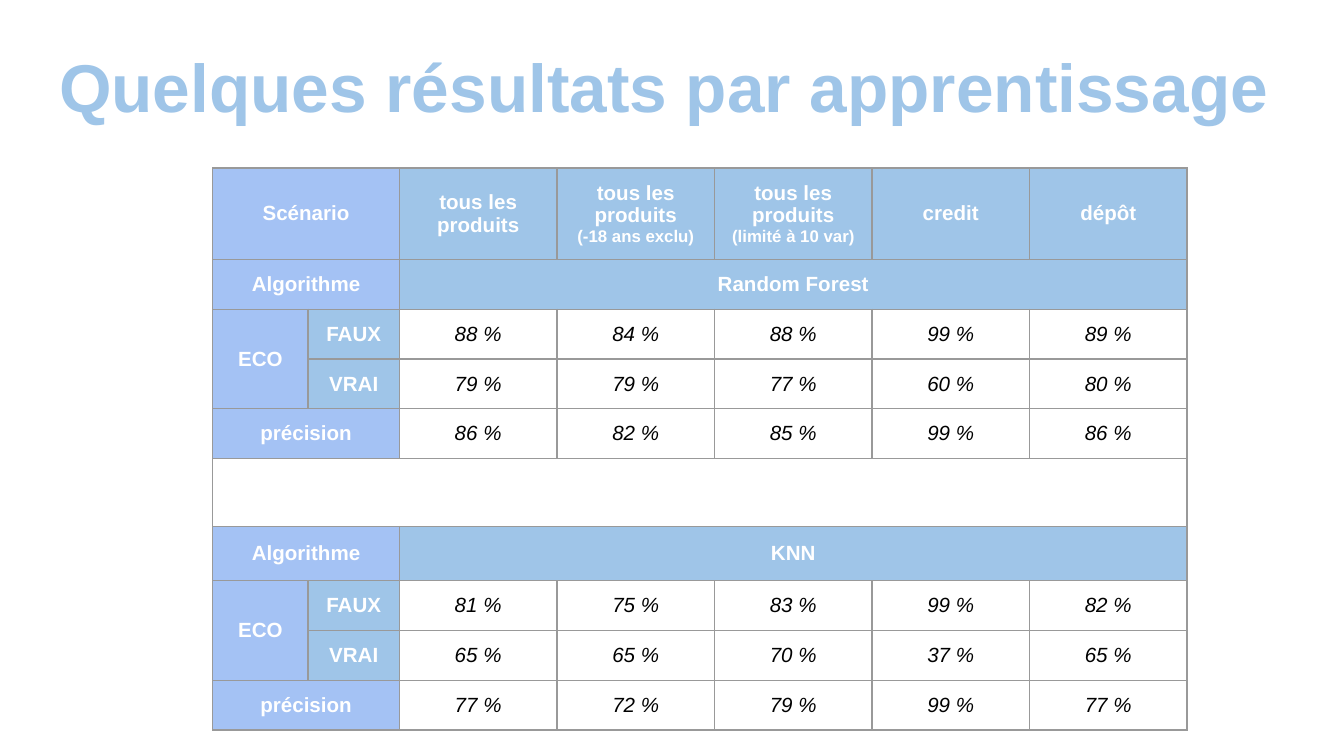
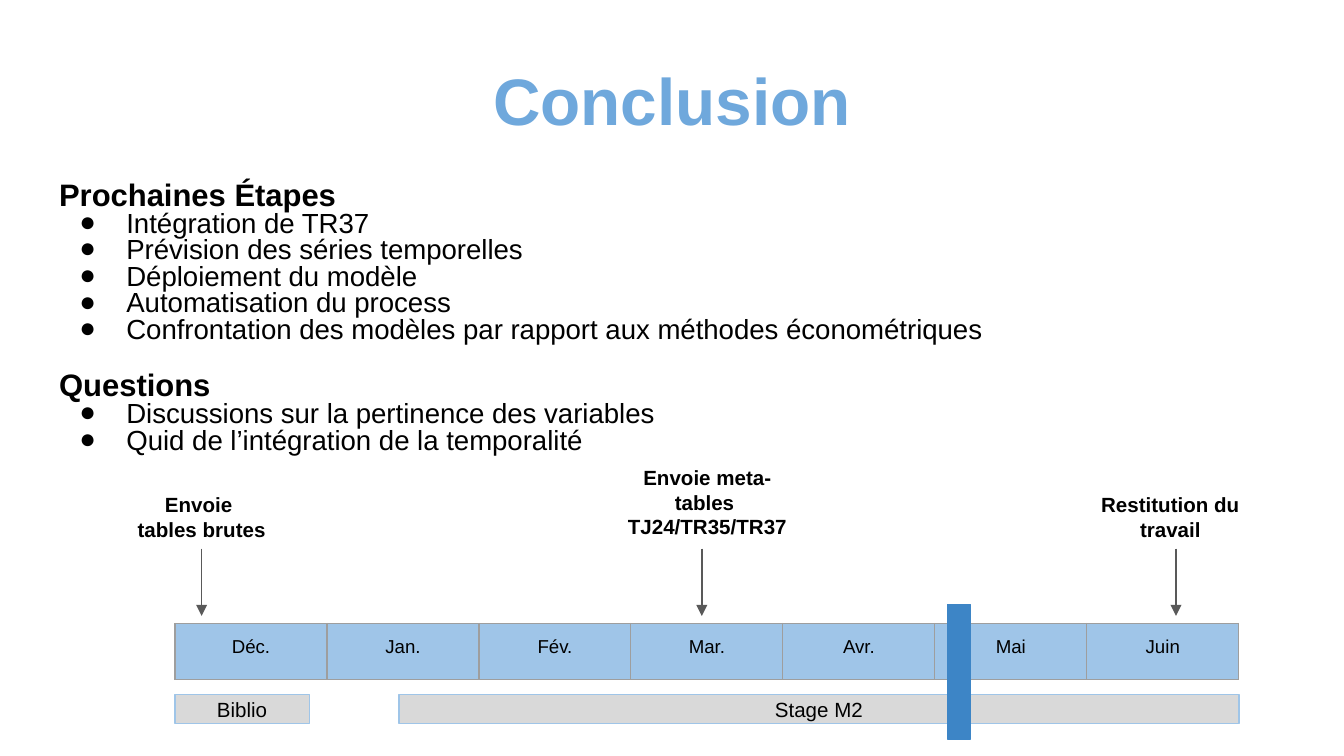
from lxml import etree
from pptx import Presentation
from pptx.dml.color import RGBColor
from pptx.enum.shapes import MSO_CONNECTOR, MSO_SHAPE
from pptx.enum.text import MSO_ANCHOR, MSO_AUTO_SIZE, PP_ALIGN
from pptx.oxml.ns import qn
from pptx.util import Pt

LEFT, CENTER = PP_ALIGN.LEFT, PP_ALIGN.CENTER
TOP, MIDDLE = MSO_ANCHOR.TOP, MSO_ANCHOR.MIDDLE
NO_AUTOFIT, FIT_SHAPE = MSO_AUTO_SIZE.NONE, MSO_AUTO_SIZE.SHAPE_TO_FIT_TEXT
RECTANGLE, STRAIGHT = MSO_SHAPE.RECTANGLE, MSO_CONNECTOR.STRAIGHT

WHITE = RGBColor(0xFF, 0xFF, 0xFF)
BLACK = RGBColor(0x00, 0x00, 0x00)
LIGHT_BLUE = RGBColor(0x9F, 0xC5, 0xE8)
LAVENDER = RGBColor(0xA4, 0xC2, 0xF4)
MID_BLUE = RGBColor(0x6F, 0xA8, 0xDC)
DEEP_BLUE = RGBColor(0x3D, 0x85, 0xC6)
PALE_GREY = RGBColor(0xD9, 0xD9, 0xD9)
ARROW_GREY = RGBColor(0x59, 0x59, 0x59)
BORDER_GREY = RGBColor(0x99, 0x99, 0x99)
TIMELINE_GREY = RGBColor(0x9E, 0x9E, 0x9E)

FONT = "Arial"
INSET = Pt(7.2)
THIN = Pt(0.75)
MARGIN, CONTENT_WIDTH = 24.5, 671
TITLE_AND_CONTENT, TITLE_ONLY = 1, 5

# Results: one column per scenario
SCENARIOS = [
    ["tous les produits"],
    ["tous les produits", "(-18 ans exclu)"],
    ["tous les produits", "(limité à 10 var)"],
    ["credit"],
    ["dépôt"],
]
FOREST_SCORES = [(88, 84, 88, 99, 89), (79, 79, 77, 60, 80), (86, 82, 85, 99, 86)]
KNN_SCORES = [(81, 75, 83, 99, 82), (65, 65, 70, 37, 65), (77, 72, 79, 99, 77)]
RESULT_COLUMNS = [51, 49] + [84.4] * 5
RESULT_ROWS = [42, 24, 26, 16, 20, 12, 29, 17, 18, 19]

# Conclusion: headings with their points
SECTIONS = [
    ("Prochaines Étapes", [
        "Intégration de TR37",
        "Prévision des séries temporelles",
        "Déploiement du modèle",
        "Automatisation du process",
        "Confrontation des modèles par rapport aux méthodes économétriques",
    ]),
    ("Questions", [
        "Discussions sur la pertinence des variables",
        "Quid de l’intégration de la temporalité",
    ]),
]
MONTHS = ["Déc.", "Jan.", "Fév.", "Mar.", "Avr.", "Mai", "Juin"]
TIMELINE_LEFT, TIMELINE_WIDTH = 93.75, 570

# Milestones: text, label left, top, width, height, arrow x
MILESTONES = [
    ("Envoie \vtables brutes", 60, 256.5, 96, 41, 108),
    ("Envoie meta-tables \vTJ24/TR35/TR37", 322, 242, 114, 55, 376),
    ("Restitution du travail", 570, 256.5, 114, 41, 630),
]


def style_paragraph(para, size, color=BLACK, bold=False, italic=False, align=CENTER):
    para.alignment = align
    for span in para.runs:
        font = span.font
        font.name, font.size = FONT, Pt(size)
        font.bold, font.italic = bold, italic
        font.color.rgb = color


def set_insets(item):
    item.margin_left = item.margin_right = INSET
    item.margin_top = item.margin_bottom = INSET


def prepare_frame(frame, anchor=TOP, auto_size=NO_AUTOFIT):
    set_insets(frame)
    frame.word_wrap = True
    frame.auto_size = auto_size
    frame.vertical_anchor = anchor


def place(shape, left, top, width, height):
    shape.left, shape.top = Pt(left), Pt(top)
    shape.width, shape.height = Pt(width), Pt(height)


def add_titled_page(deck, layout, title, top, height, size, color, align):
    page = deck.slides.add_slide(deck.slide_layouts[layout])
    box = page.shapes.title
    place(box, MARGIN, top, CONTENT_WIDTH, height)
    frame = box.text_frame
    frame.text = title
    prepare_frame(frame)
    para = frame.paragraphs[0]
    para.line_spacing = 1.08
    style_paragraph(para, size, color, bold=True, align=align)
    return page


def set_borders(cell, color):
    properties = cell._tc.get_or_add_tcPr()
    for side in ("lnL", "lnR", "lnT", "lnB"):
        line = etree.SubElement(properties, qn("a:" + side), w=str(THIN))
        fill = etree.SubElement(line, qn("a:solidFill"))
        etree.SubElement(fill, qn("a:srgbClr"), val=str(color))


def add_grid(page, left, top, columns, rows, border):
    frame = page.shapes.add_table(len(rows), len(columns), Pt(left), Pt(top),
                                  Pt(sum(columns)), Pt(sum(rows)))
    table = frame.table
    table.first_row = table.horz_banding = False
    for column, width in zip(table.columns, columns):
        column.width = Pt(width)
    for row, height in zip(table.rows, rows):
        row.height = Pt(height)
    for cell in table.iter_cells():
        set_insets(cell)
        set_borders(cell, border)
        cell.fill.background()
    return table


def fill_cell(cell, text, fill=None, size=11, color=BLACK, anchor=MIDDLE, **style):
    cell.text_frame.text = text
    cell.vertical_anchor = anchor
    if fill is not None:
        cell.fill.solid()
        cell.fill.fore_color.rgb = fill
    for para in cell.text_frame.paragraphs:
        style_paragraph(para, size, color, **style)


def header_cell(table, row, column, text, fill, last_row=None, last_column=None):
    cell = table.cell(row, column)
    if last_row is not None or last_column is not None:
        cell.merge(table.cell(last_row or row, last_column or column))
    fill_cell(cell, text, fill, color=WHITE, bold=True)
    return cell


def add_algorithm(table, row, name, scores):
    header_cell(table, row, 0, "Algorithme", LAVENDER, last_column=1)
    header_cell(table, row, 2, name, LIGHT_BLUE, last_column=6)
    header_cell(table, row + 1, 0, "ECO", LAVENDER, last_row=row + 2)
    header_cell(table, row + 1, 1, "FAUX", LIGHT_BLUE)
    header_cell(table, row + 2, 1, "VRAI", LIGHT_BLUE)
    header_cell(table, row + 3, 0, "précision", LAVENDER, last_column=1)
    for score_row, values in enumerate(scores, row + 1):
        for column, value in enumerate(values, 2):
            fill_cell(table.cell(score_row, column), f"{value} %", italic=True)


def add_results_table(page):
    table = add_grid(page, 114, 90, RESULT_COLUMNS, RESULT_ROWS, BORDER_GREY)
    header_cell(table, 0, 0, "Scénario", LAVENDER, last_column=1)
    for column, lines in enumerate(SCENARIOS, 2):
        cell = header_cell(table, 0, column, "\n".join(lines), LIGHT_BLUE)
        for para in cell.text_frame.paragraphs[1:]:
            style_paragraph(para, 9, WHITE, bold=True)
    add_algorithm(table, 1, "Random Forest", FOREST_SCORES)
    table.cell(5, 0).merge(table.cell(5, 6))
    add_algorithm(table, 6, "KNN", KNN_SCORES)


def set_bullet(para, bulleted):
    properties = para._p.get_or_add_pPr()
    properties.set("marL", str(Pt(36) if bulleted else 0))
    properties.set("indent", str(Pt(-25.2) if bulleted else 0))
    if bulleted:
        color = etree.SubElement(properties, qn("a:buClr"))
        etree.SubElement(color, qn("a:srgbClr"), val=str(BLACK))
        etree.SubElement(properties, qn("a:buChar"), char="●")
    else:
        etree.SubElement(properties, qn("a:buNone"))


def fill_sections(box):
    place(box, MARGIN, 90.5, CONTENT_WIDTH, 167)
    frame = box.text_frame
    lines = [(text, text == heading) for heading, points in SECTIONS
             for text in [heading] + points]
    frame.text = "\n".join(text for text, _ in lines)
    prepare_frame(frame)
    for number, (para, (_, is_heading)) in enumerate(zip(frame.paragraphs, lines)):
        para.line_spacing = 0.8
        para.space_before = Pt(15 if is_heading and number else 0)
        para.space_after = Pt(0)
        style_paragraph(para, 16.6 if is_heading else 14.8, bold=is_heading, align=LEFT)
        set_bullet(para, not is_heading)


def add_bar(page, left, top, width, height, fill, line, text=""):
    bar = page.shapes.add_shape(RECTANGLE, Pt(left), Pt(top), Pt(width), Pt(height))
    bar.shadow.inherit = False
    bar.fill.solid()
    bar.fill.fore_color.rgb = fill
    bar.line.color.rgb = line
    bar.line.width = THIN
    if text:
        bar.text_frame.text = text
        prepare_frame(bar.text_frame, MIDDLE)
        style_paragraph(bar.text_frame.paragraphs[0], 11)


def add_label(page, text, left, top, width, height):
    box = page.shapes.add_textbox(Pt(left), Pt(top), Pt(width), Pt(height))
    box.text_frame.text = text
    prepare_frame(box.text_frame, auto_size=FIT_SHAPE)
    style_paragraph(box.text_frame.paragraphs[0], 11, bold=True)


def add_down_arrow(page, x, top, bottom):
    arrow = page.shapes.add_connector(STRAIGHT, Pt(x), Pt(top), Pt(x), Pt(bottom))
    arrow.line.color.rgb = ARROW_GREY
    arrow.line.width = THIN
    etree.SubElement(arrow.line._get_or_add_ln(), qn("a:tailEnd"), type="triangle")
    etree.SubElement(arrow._element.spPr, qn("a:effectLst"))


def add_timeline(page):
    # Activities under the months
    right = TIMELINE_LEFT + TIMELINE_WIDTH
    for left, width, text in ((TIMELINE_LEFT, 72, "Biblio"), (right - 450, 450, "Stage M2")):
        add_bar(page, left, 372, width, 15.5, PALE_GREY, LIGHT_BLUE, text)
    # Months
    columns = [TIMELINE_WIDTH / len(MONTHS)] * len(MONTHS)
    table = add_grid(page, TIMELINE_LEFT, 334, columns, [30], TIMELINE_GREY)
    for cell, month in zip(table.iter_cells(), MONTHS):
        fill_cell(cell, month, LIGHT_BLUE, size=10, anchor=TOP)
    # Current date
    add_bar(page, 507.5, 324, 12.5, 72, DEEP_BLUE, DEEP_BLUE)
    # Milestones
    for text, left, top, width, height, arrow_x in MILESTONES:
        add_label(page, text, left, top, width, height)
        add_down_arrow(page, arrow_x, 294, 330)


def main():
    deck = Presentation()
    deck.slide_width, deck.slide_height = Pt(720), Pt(405)

    results = add_titled_page(deck, TITLE_ONLY, "Quelques résultats par apprentissage",
                              13.5, 59, 36.2, LIGHT_BLUE, LEFT)
    add_results_table(results)

    conclusion = add_titled_page(deck, TITLE_AND_CONTENT, "Conclusion",
                                 21.5, 45.5, 35.2, MID_BLUE, CENTER)
    fill_sections(conclusion.placeholders[1])
    add_timeline(conclusion)

    deck.save("out.pptx")


if __name__ == "__main__":
    main()
